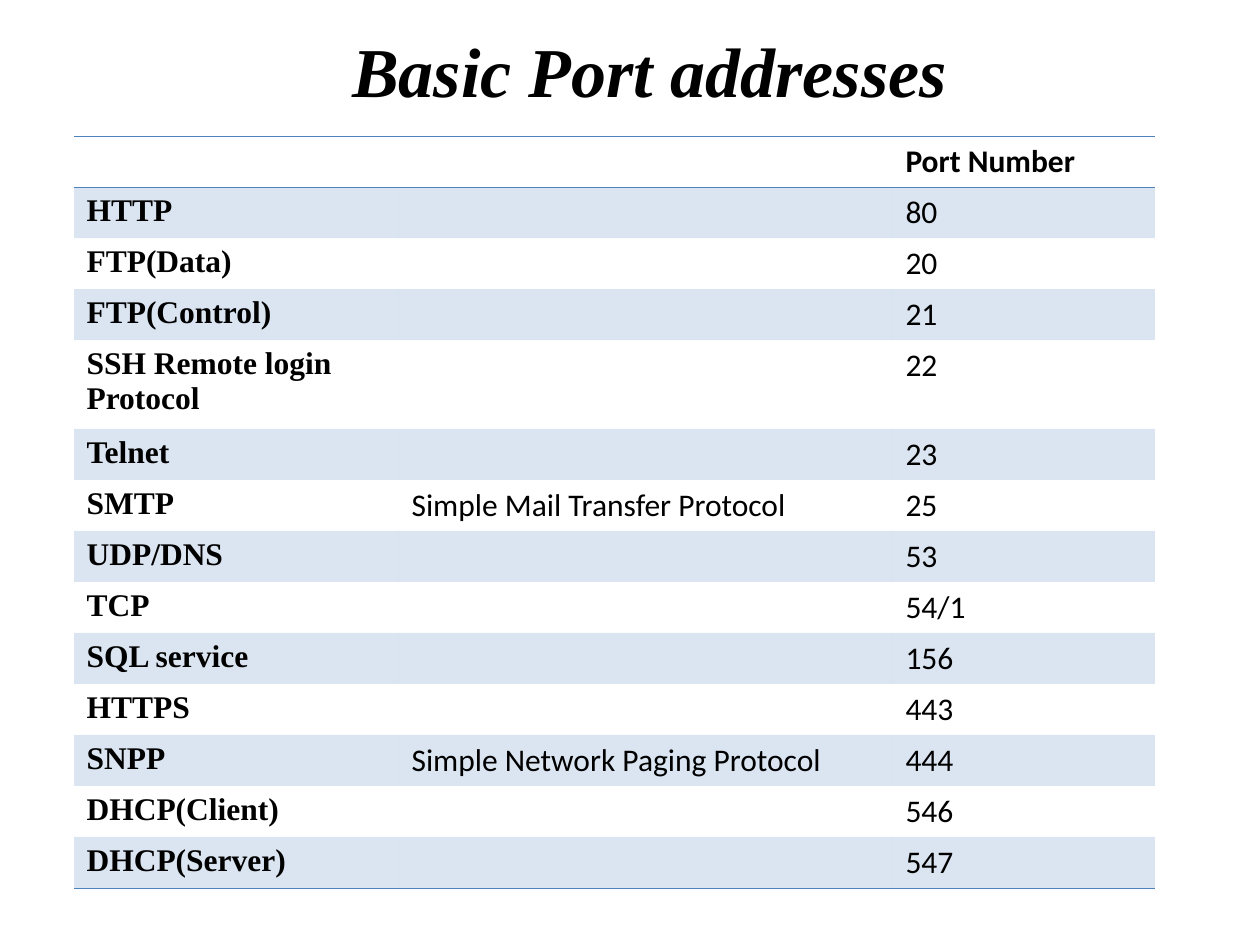
from lxml import etree
from pptx import Presentation
from pptx.dml.color import RGBColor
from pptx.oxml.ns import qn
from pptx.util import Emu, Pt

TITLE = "Basic Port addresses"
PORTS = [
    ("", "", "Port Number"),
    ("HTTP", "", "80"),
    ("FTP(Data)", "", "20"),
    ("FTP(Control)", "", "21"),
    ("SSH Remote login Protocol", "", "22"),
    ("Telnet", "", "23"),
    ("SMTP", "Simple Mail Transfer Protocol", "25"),
    ("UDP/DNS", "", "53"),
    ("TCP", "", "54/1"),
    ("SQL service", "", "156"),
    ("HTTPS", "", "443"),
    ("SNPP", "Simple Network Paging Protocol", "444"),
    ("DHCP(Client)", "", "546"),
    ("DHCP(Server)", "", "547"),
]
SPLIT_ROW = 4  # the only row whose two middle cells stay separate
LAST_ROW = len(PORTS) - 1
COLUMN_WIDTHS = [325, 81, 413, 262]
ROW_HEIGHT, SPLIT_ROW_HEIGHT = 51, 89
BLUE, BLACK = "4F81BD", "000000"
SERIF, SANS = "Times New Roman", "Calibri"
NO_STYLE_NO_GRID = "{2D5ABB26-0587-4C30-8999-92F81FD0307C}"


def px(length):
    return Emu(round(length * 914400 / 126))


def color(hex_string):
    return RGBColor.from_string(hex_string)


def set_font(paragraph, name, size, bold, italic=False):
    for font in [paragraph.font] + [run.font for run in paragraph.runs]:
        font.name, font.size = name, Pt(size)
        font.bold, font.italic = bold, italic
        font.color.rgb = color(BLACK)


def add_border(cell, side):
    """Draw a thin blue rule on a cell; side is T or B, T first."""
    properties = cell._tc.get_or_add_tcPr()
    line = etree.SubElement(properties, qn(f"a:ln{side}"), w=str(Pt(0.45)))
    fill = etree.SubElement(line, qn("a:solidFill"))
    etree.SubElement(fill, qn("a:srgbClr"), val=BLUE)


def tint(cell):
    """Fill a cell with blue at 20 % opacity."""
    cell.fill.solid()
    cell.fill.fore_color.rgb = color(BLUE)
    blue = cell._tc.tcPr.find(f"{qn('a:solidFill')}/{qn('a:srgbClr')}")
    etree.SubElement(blue, qn("a:alpha"), val="20000")


def add_title(slide):
    title = slide.shapes.add_textbox(px(340), px(21), px(632), px(97))
    frame = title.text_frame
    frame.text = TITLE
    frame.word_wrap = True
    set_font(frame.paragraphs[0], SERIF, 40, True, True)


def add_port_table(slide):
    heights = [ROW_HEIGHT] * len(PORTS)
    heights[SPLIT_ROW] = SPLIT_ROW_HEIGHT
    frame = slide.shapes.add_table(
        len(PORTS), len(COLUMN_WIDTHS), px(74), px(136),
        px(sum(COLUMN_WIDTHS)), px(sum(heights)))
    table = frame.table
    table.horz_banding = False
    table._tbl.tblPr.find(qn("a:tableStyleId")).text = NO_STYLE_NO_GRID
    for column, width in zip(table.columns, COLUMN_WIDTHS):
        column.width = px(width)

    for r, (service, full_name, port) in enumerate(PORTS):
        table.rows[r].height = px(heights[r])
        if r != SPLIT_ROW:
            table.cell(r, 1).merge(table.cell(r, 2))
        for c, text in enumerate((service, full_name, "", port)):
            cell = table.cell(r, c)
            cell.text = text
            set_font(cell.text_frame.paragraphs[0],
                     SERIF if c == 0 else SANS, 18, c == 0 or r == 0)
            if r == 0:
                add_border(cell, "T")
            if r in (0, LAST_ROW):
                add_border(cell, "B")
            if r % 2:
                tint(cell)
            else:
                cell.fill.background()


def main():
    presentation = Presentation()
    presentation.slide_width, presentation.slide_height = px(1260), px(945)
    slide = presentation.slides.add_slide(presentation.slide_layouts[6])
    add_title(slide)
    add_port_table(slide)
    presentation.save("out.pptx")


if __name__ == "__main__":
    main()
